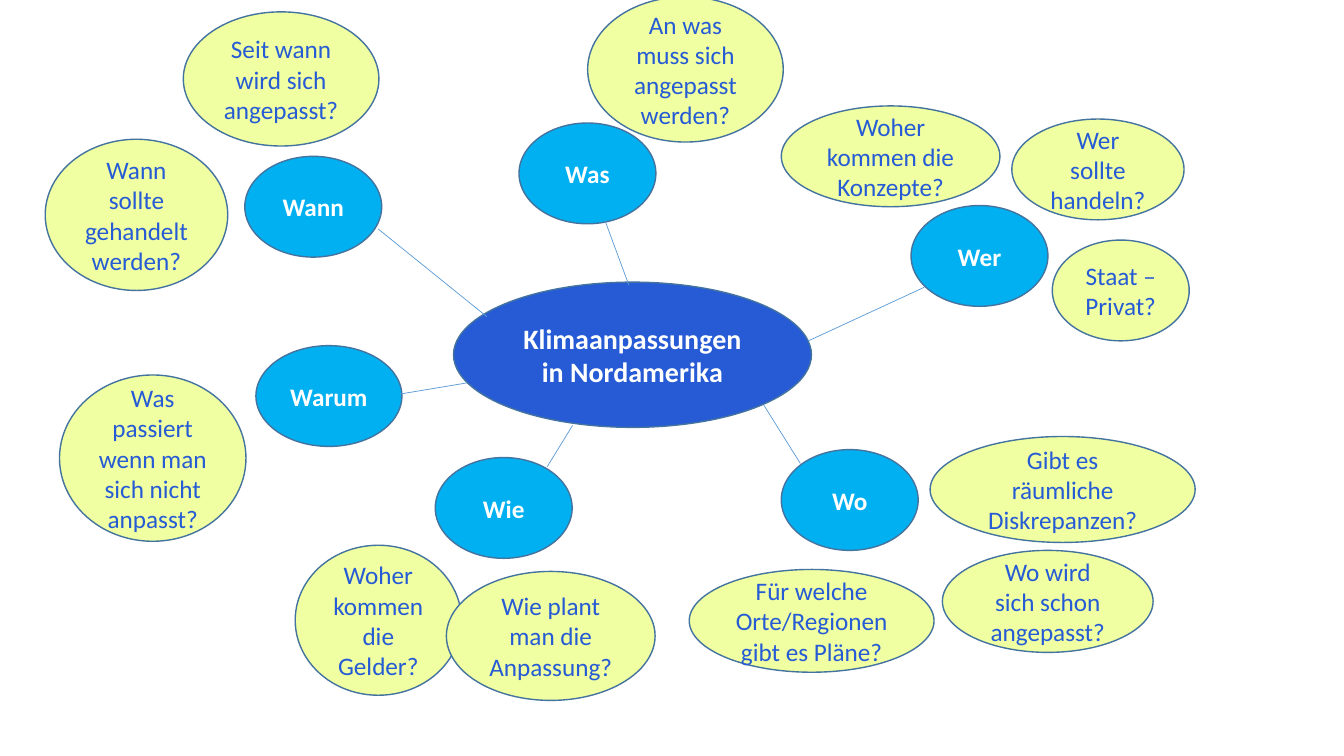
"""Build a mind map slide about climate adaptation in North America."""
import dataclasses
import typing

import pptx
import pptx.dml.color
import pptx.enum.shapes
import pptx.enum.text
import pptx.oxml.ns
import pptx.slide
import pptx.util
from lxml import etree
from pptx.util import Cm, Pt

RGBColor = pptx.dml.color.RGBColor
WHITE = RGBColor(0xFF, 0xFF, 0xFF)
ROYAL_BLUE = RGBColor(0x26, 0x5B, 0xD5)
SKY_BLUE = RGBColor(0x00, 0xB0, 0xF0)
PALE_LIME = RGBColor(0xEF, 0xFF, 0xA1)
OUTLINE_BLUE = RGBColor(0x43, 0x73, 0x9E)
BRANCH_BLUE = RGBColor(0x5B, 0x9B, 0xD5)


@dataclasses.dataclass(frozen=True)
class Look:
    fill: RGBColor
    ink: RGBColor
    size: int
    bold: bool


@dataclasses.dataclass(frozen=True)
class Bubble:
    text: str
    look: Look
    left: float
    top: float
    width: float = 3.45
    height: float = 2.54


class Branch(typing.NamedTuple):
    start_x: float
    start_y: float
    end_x: float
    end_y: float


TOPIC = Look(ROYAL_BLUE, WHITE, 20, True)
KEYWORD = Look(SKY_BLUE, WHITE, 18, True)
QUESTION = Look(PALE_LIME, ROYAL_BLUE, 18, False)

BUBBLES = [
    Bubble("Klimaanpassungen in Nordamerika", TOPIC, 11.43, 7.11, 9.02, 3.66),
    Bubble("Wer", KEYWORD, 22.96, 5.18),
    Bubble("An was muss sich angepasst werden?", QUESTION, 14.81, -0.08, 4.93, 3.66),
    Bubble("Wie", KEYWORD, 10.97, 11.53),
    Bubble("Wo", KEYWORD, 19.69, 11.33),
    Bubble("Was", KEYWORD, 13.08, 3.1),
    Bubble("Warum", KEYWORD, 6.45, 8.71, 3.68),
    Bubble("Wann", KEYWORD, 6.17, 3.94),
    Bubble("Staat – Privat?", QUESTION, 26.52, 6.05),
    Bubble("Wer sollte handeln?", QUESTION, 25.5, 3, 4.34),
    Bubble("Woher kommen die Gelder?", QUESTION, 7.44, 13.74, 4.19, 3.78),
    Bubble("Woher kommen die Konzepte?", QUESTION, 19.69, 2.67, 5.51),
    Bubble("Was passiert wenn man sich nicht anpasst?", QUESTION, 1.5, 9.45, 4.7, 4.19),
    Bubble("Gibt es räumliche Diskrepanzen?", QUESTION, 23.44, 11, 6.68, 2.67),
    Bubble("Für welche Orte/Regionen gibt es Pläne?", QUESTION, 17.37, 14.35, 6.17, 2.59),
    Bubble("Wo wird sich schon angepasst?", QUESTION, 23.75, 13.87, 5.31, 2.57),
    Bubble("Seit wann wird sich angepasst?", QUESTION, 4.62, 0.3, 4.93, 3.38),
    Bubble("Wann sollte gehandelt werden?", QUESTION, 1.14, 3.51, 4.6, 3.81),
    Bubble("Wie plant man die Anpassung?", QUESTION, 11.25, 14.4, 5.26, 3.25),
]

BRANCHES = [
    Branch(20.37, 8.59, 23.29, 7.24),
    Branch(19.25, 10.21, 20.17, 11.68),
    Branch(15.85, 7.19, 15.24, 5.54),
    Branch(10.08, 9.93, 11.76, 9.65),
    Branch(9.53, 5.77, 12.27, 7.98),
    Branch(13.79, 11.76, 14.43, 10.72),
]


def apply_format(target: typing.Any, values: dict[str, typing.Any]) -> None:
    """Set every named attribute on the target."""
    for name, value in values.items():
        setattr(target, name, value)


def draw_bubble(page: pptx.slide.Slide, bubble: Bubble) -> None:
    """Draw one labelled ellipse."""
    look = bubble.look
    box = page.shapes.add_shape(
        pptx.enum.shapes.MSO_SHAPE.OVAL,
        Cm(bubble.left), Cm(bubble.top), Cm(bubble.width), Cm(bubble.height),
    )
    box.shadow.inherit = False
    box.fill.solid()
    box.fill.fore_color.rgb = look.fill
    box.line.color.rgb = OUTLINE_BLUE
    box.line.width = Pt(1)
    frame = box.text_frame
    apply_format(frame, {
        "word_wrap": True,
        "vertical_anchor": pptx.enum.text.MSO_ANCHOR.MIDDLE,
    })
    para = frame.paragraphs[0]
    para.alignment = pptx.enum.text.PP_ALIGN.CENTER
    span = para.add_run()
    span.text = bubble.text
    apply_format(span.font, {"name": "Calibri", "size": Pt(look.size), "bold": look.bold})
    span.font.color.rgb = look.ink


def draw_branch(page: pptx.slide.Slide, branch: Branch) -> None:
    """Draw one thin line between the topic and a keyword."""
    line = page.shapes.add_connector(
        pptx.enum.shapes.MSO_CONNECTOR.STRAIGHT, *(Cm(value) for value in branch)
    )
    line.line.color.rgb = BRANCH_BLUE
    line.line.width = Pt(0.5)
    etree.SubElement(line._element.spPr, pptx.oxml.ns.qn("a:effectLst"))


def main() -> None:
    """Build and save the deck."""
    deck = pptx.Presentation()
    apply_format(deck, {"slide_width": Cm(33.87), "slide_height": Cm(19.05)})
    page = deck.slides.add_slide(deck.slide_layouts[6])
    for bubble in BUBBLES:
        draw_bubble(page, bubble)
    for branch in BRANCHES:
        draw_branch(page, branch)
    deck.save("out.pptx")


if __name__ == "__main__":
    main()
